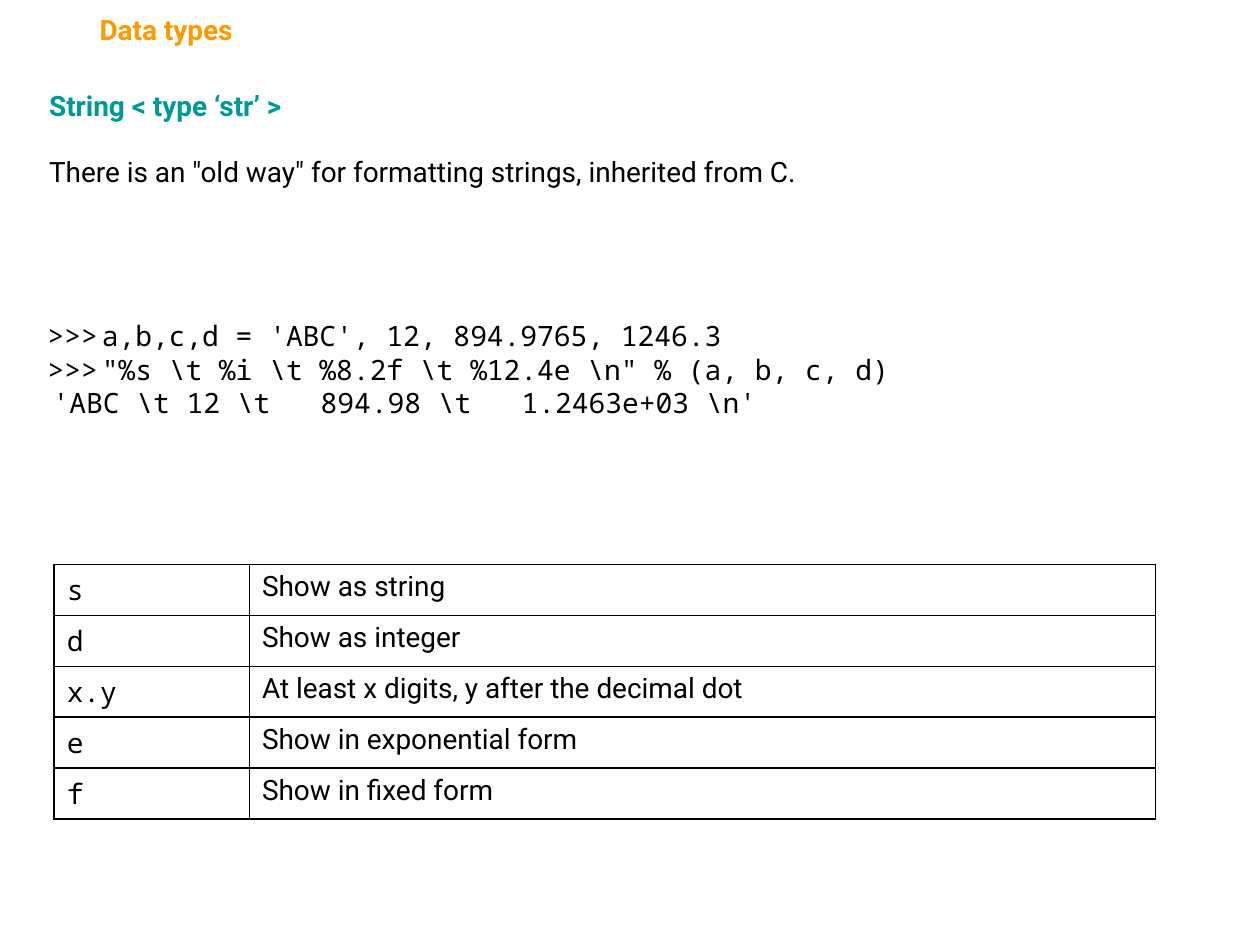
from dataclasses import dataclass

from lxml.etree import SubElement
from pptx import Presentation
from pptx.dml.color import RGBColor
from pptx.enum.text import MSO_AUTO_SIZE as AutoSize, PP_ALIGN as Align
from pptx.oxml.ns import qn
from pptx.util import Inches, Pt

ORANGE = RGBColor(0xFF, 0x99, 0x00)
TEAL = RGBColor(0x00, 0x99, 0x99)
BLACK = RGBColor(0x00, 0x00, 0x00)
WHITE = RGBColor(0xFF, 0xFF, 0xFF)
SANS, MONO = "Roboto", "Noto Sans Mono"
TEXT_SIZE = Pt(16)
BLANK_LAYOUT = 6


@dataclass
class Line:
    """One paragraph of text."""
    text: str
    font: str = SANS
    color: RGBColor = BLACK
    bold: bool = False
    align: Align = Align.JUSTIFY
    indent: float = 0
    after: float = 0


@dataclass
class TextBox:
    """A text box with its place, insets (left, top, right, bottom) and lines."""
    place: tuple[float, float, float, float]
    lines: list[Line]
    insets: tuple[float, float, float, float] = (0.1, 0.05, 0.1, 0.05)
    wrap: bool = True
    grow: bool = True


TEXT_BOXES = [
    TextBox((0, 0.6, 10, 6.9), [
        Line("String < type ‘str’ >", color=TEAL, bold=True, after=19),
        Line('There is an "old way" for formatting strings, inherited from C.'),
    ], insets=(0.39, 0.1, 0.39, 0.1), grow=False),
    TextBox((0, 0, 2.09, 0.47),
            [Line("Data types", color=ORANGE, bold=True, align=Align.LEFT)],
            insets=(0.79, 0.1, 0.1, 0.1), wrap=False),
    TextBox((0.28, 2.48, 0.63, 0.91), [Line(">>>", MONO)] * 2),
    TextBox((0.28, 2.48, 8.27, 0.91), [
        Line("a,b,c,d = 'ABC', 12, 894.9765, 1246.3", MONO, indent=0.43),
        Line(r'"%s \t %i \t %8.2f \t %12.4e \n" % (a, b, c, d) ', MONO, indent=0.43),
        Line(r"'ABC \t 12 \t   894.98 \t   1.2463e+03 \n'", MONO, indent=0.04),
    ]),
]

FORMAT_CODES = [
    ("s", "Show as string"),
    ("d", "Show as integer"),
    ("x.y", "At least x digits, y after the decimal dot"),
    ("e", "Show in exponential form"),
    ("f", "Show in fixed form"),
]
TABLE_PLACE = (0.43, 4.48, 8.74, 2.02)
COLUMN_WIDTHS = (1.55, 7.19)


def write_lines(frame, lines: list[Line]) -> None:
    """Write each line as a paragraph of the text frame."""
    for index, line in enumerate(lines):
        para = frame.add_paragraph() if index else frame.paragraphs[0]
        para.alignment = line.align
        para.space_after = Pt(line.after)
        if line.indent:
            properties = para._p.get_or_add_pPr()
            properties.set("marL", str(Inches(line.indent)))
            properties.set("indent", "0")
        span = para.add_run()
        span.text = line.text
        span.font.name = line.font
        span.font.size = TEXT_SIZE
        span.font.bold = line.bold
        span.font.color.rgb = line.color


def add_text_box(page, item: TextBox) -> None:
    """Add a text box to the page."""
    frame = page.shapes.add_textbox(*map(Inches, item.place)).text_frame
    (frame.margin_left, frame.margin_top,
     frame.margin_right, frame.margin_bottom) = map(Inches, item.insets)
    frame.word_wrap = item.wrap
    frame.auto_size = AutoSize.SHAPE_TO_FIT_TEXT if item.grow else AutoSize.NONE
    write_lines(frame, item.lines)


def add_borders(cell) -> None:
    """Draw a thin black line on every side of the cell."""
    properties = cell._tc.get_or_add_tcPr()
    for side in ("lnL", "lnR", "lnT", "lnB"):
        border = SubElement(properties, qn(f"a:{side}"), w=str(Pt(1)))
        fill = SubElement(border, qn("a:solidFill"))
        SubElement(fill, qn("a:srgbClr"), val=str(BLACK))


def add_format_table(page) -> None:
    """Add the table of format codes and their meanings."""
    frame = page.shapes.add_table(
        len(FORMAT_CODES), len(COLUMN_WIDTHS), *map(Inches, TABLE_PLACE))
    table = frame.table
    table.first_row = table.horz_banding = False
    for column, width in zip(table.columns, COLUMN_WIDTHS):
        column.width = Inches(width)
    for row, texts in enumerate(FORMAT_CODES):
        for column, (text, font) in enumerate(zip(texts, (MONO, SANS))):
            cell = table.cell(row, column)
            cell.margin_left = cell.margin_right = Inches(0.1)
            cell.margin_top = cell.margin_bottom = Inches(0.05)
            add_borders(cell)
            cell.fill.solid()
            cell.fill.fore_color.rgb = WHITE
            write_lines(cell.text_frame, [Line(text, font, align=Align.LEFT)])


def main() -> None:
    """Build the slide and save it."""
    deck = Presentation()
    deck.slide_width, deck.slide_height = Inches(10), Inches(7.5)
    page = deck.slides.add_slide(deck.slide_layouts[BLANK_LAYOUT])
    for item in TEXT_BOXES:
        add_text_box(page, item)
    add_format_table(page)
    deck.save("out.pptx")


main()
